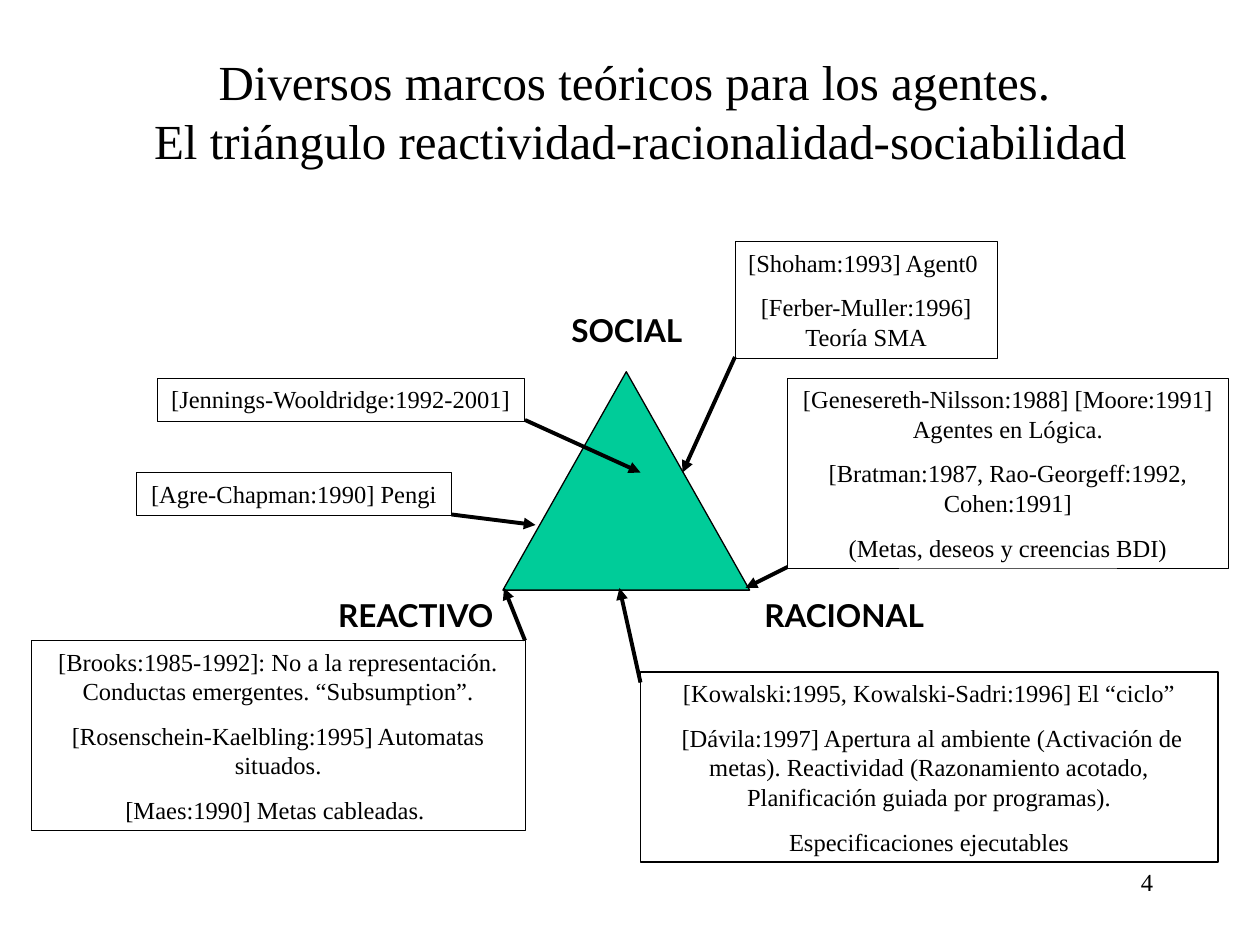
"""Build a slide on the reactive, rational and social triangle of agent theories."""
from dataclasses import dataclass

import lxml.etree
import pptx
import pptx.dml.color
import pptx.enum.shapes
import pptx.enum.text
import pptx.oxml
import pptx.oxml.ns
import pptx.util

COLORS = {"ink": "000000", "triangle": "00CC99"}
SERIF, SANS = "Times New Roman", "Lato"
CELL = pptx.util.Inches(1) / 12
COLUMNS, ROWS = 120, 90
ALIGN = pptx.enum.text.PP_ALIGN


@dataclass(frozen=True)
class Area:
    column: float
    row: float
    columns: float
    rows: float


@dataclass(frozen=True)
class Reference:
    area: Area
    paragraphs: tuple[str, ...]
    border: float = 0.26
    wrap: bool = True


@dataclass(frozen=True)
class Label:
    area: Area
    text: str


@dataclass(frozen=True)
class Arrow:
    start: tuple[float, float]
    end: tuple[float, float]


LABELS = (
    Label(Area(43.6, 29, 32.2, 4.8), "SOCIAL"),
    Label(Area(64.3, 56.2, 32.2, 4.8), "RACIONAL"),
    Label(Area(23.5, 56.2, 32.2, 4.8), "REACTIVO"),
)

REFERENCES = (
    Reference(Area(70, 23, 25, 11.1), (
        "[Shoham:1993] Agent0 ",
        "[Ferber-Muller:1996] Teoría SMA",
    )),
    Reference(Area(13, 45, 30, 4.1), ("[Agre-Chapman:1990] Pengi",)),
    Reference(Area(3, 61, 47, 18.1), (
        "[Brooks:1985-1992]: No a la representación. Conductas emergentes. “Subsumption”.",
        "[Rosenschein-Kaelbling:1995] Automatas situados.",
        "[Maes:1990] Metas cableadas. ",
    )),
    Reference(Area(75, 36, 42, 18.1), (
        "[Genesereth-Nilsson:1988] [Moore:1991] Agentes en Lógica.",
        "[Bratman:1987, Rao-Georgeff:1992, Cohen:1991]",
        "(Metas, deseos y creencias BDI)",
    )),
    Reference(Area(61, 64, 55, 18.1), (
        "[Kowalski:1995, Kowalski-Sadri:1996] El “ciclo”",
        " [Dávila:1997] Apertura al ambiente (Activación de metas). "
        "Reactividad (Razonamiento acotado, Planificación guiada por programas).",
        "Especificaciones ejecutables",
    ), border=0.74),
    Reference(Area(15, 36, 34.9, 4.1), ("[Jennings-Wooldridge:1992-2001]",), wrap=False),
)

ARROWS = (
    Arrow((61, 65), (59, 56)),
    Arrow((50, 61), (48, 56)),
    Arrow((50, 40), (61, 45)),
    Arrow((70, 34), (65, 45)),
    Arrow((75, 54), (71, 56)),
    Arrow((43, 49), (51, 50)),
)


def grid(*cells: float) -> list[int]:
    return [round(cell * CELL) for cell in cells]


def place(area: Area) -> list[int]:
    return grid(area.column, area.row, area.columns, area.rows)


def color(name: str) -> pptx.dml.color.RGBColor:
    return pptx.dml.color.RGBColor.from_string(COLORS[name])


def draw_line(line, width: float) -> None:
    line.color.rgb = color("ink")
    line.width = pptx.util.Pt(width)


def format_paragraph(paragraph, size: float, name: str = SERIF, bold: bool = False,
                     align=ALIGN.CENTER, before: float = 0) -> None:
    paragraph.alignment = align
    paragraph.space_before = pptx.util.Pt(before)
    font = paragraph.font
    font.size, font.name, font.bold = pptx.util.Pt(size), name, bold
    font.color.rgb = color("ink")


def add_text(page, area: Area, texts: tuple[str, ...], wrap: bool = True, **style):
    box = page.shapes.add_textbox(*place(area))
    frame = box.text_frame
    frame.word_wrap = wrap
    frame.text = "\n".join(texts)
    for paragraph in frame.paragraphs:
        format_paragraph(paragraph, **style)
    return box


def add_title(page, area: Area, text: str) -> None:
    title = page.shapes.title
    title.left, title.top, title.width, title.height = place(area)
    title.text_frame.vertical_anchor = pptx.enum.text.MSO_ANCHOR.MIDDLE
    title.text_frame.text = text
    format_paragraph(title.text_frame.paragraphs[0], 28)


def add_triangle(page, area: Area) -> None:
    triangle = page.shapes.add_shape(
        pptx.enum.shapes.MSO_SHAPE.ISOSCELES_TRIANGLE, *place(area))
    triangle.shadow.inherit = False
    triangle.fill.solid()
    triangle.fill.fore_color.rgb = color("triangle")
    draw_line(triangle.line, 0.74)


def add_label(page, label: Label) -> None:
    add_text(page, label.area, (label.text,), size=18, name=SANS, bold=True, before=11.2)


def add_reference(page, reference: Reference) -> None:
    box = add_text(page, reference.area, reference.paragraphs, reference.wrap,
                   size=14, before=8.8)
    draw_line(box.line, reference.border)


def add_arrow(page, arrow: Arrow) -> None:
    connector = page.shapes.add_connector(
        pptx.enum.shapes.MSO_CONNECTOR.STRAIGHT, *grid(*arrow.start, *arrow.end))
    draw_line(connector.line, 2.24)
    outline = connector.line._get_or_add_ln()
    lxml.etree.SubElement(outline, pptx.oxml.ns.qn("a:tailEnd"), type="triangle")
    lxml.etree.SubElement(outline.getparent(), pptx.oxml.ns.qn("a:effectLst"))


def main() -> None:
    deck = pptx.Presentation()
    deck.slide_width, deck.slide_height = grid(COLUMNS, ROWS)
    page = deck.slides.add_slide(deck.slide_layouts.get_by_name("Title Only"))
    add_title(page, Area(10, 3, 102, 15),
              "Diversos marcos teóricos para los agentes. \v"
              "El triángulo reactividad-racionalidad-sociabilidad")
    add_triangle(page, Area(47.9, 35.4, 23.5, 20.8))
    for label in LABELS:
        add_label(page, label)
    for reference in REFERENCES:
        add_reference(page, reference)
    for arrow in ARROWS:
        add_arrow(page, arrow)
    add_text(page, Area(81, 82, 30, 6), ("4",), size=14, align=ALIGN.RIGHT)
    deck.save("out.pptx")


main()
